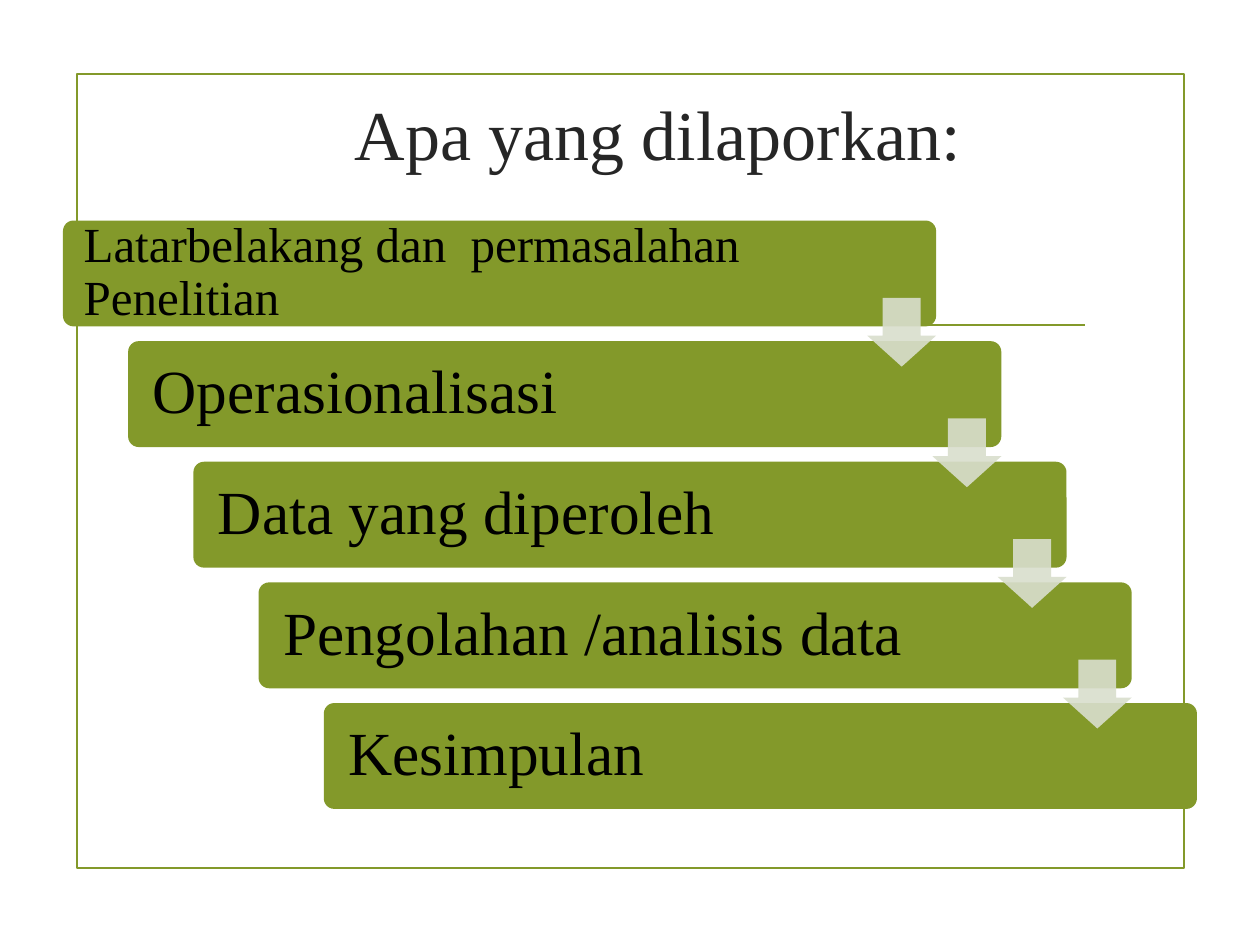
from pptx import Presentation
from pptx.dml.color import RGBColor
from pptx.enum.shapes import MSO_CONNECTOR as Conn, MSO_SHAPE as Shape
from pptx.enum.text import MSO_ANCHOR as Anchor, PP_ALIGN as Align
from pptx.oxml.ns import qn
from pptx.util import Inches, Pt
from lxml.etree import SubElement

GREEN = "83992A"
WIDE, HIGH = 10, 7.5
STEPS = [
    ("Latarbelakang dan  permasalahan Penelitian", 28, 0.14),
    ("Operasionalisasi", 35, 0.17),
    ("Data yang diperoleh", 35, 0.17),
    ("Pengolahan /analisis data", 35, 0.17),
    ("Kesimpulan", 35, 0.17),
]


def color(code):
    return RGBColor.from_string(code)


def inches(box):
    return [Inches(n) for n in box]


def write(shape, text, size=35, ink="000000", align=Align.LEFT, space=1.0, left=0.1, right=0.1):
    frame = shape.text_frame
    frame.word_wrap = True
    frame.vertical_anchor = Anchor.MIDDLE
    frame.margin_left, frame.margin_right = Inches(left), Inches(right)
    frame.margin_top = frame.margin_bottom = 0
    para = frame.paragraphs[0]
    para.alignment = align
    para.line_spacing = space
    run = para.add_run()
    run.text = text
    run.font.name = "Times New Roman"
    run.font.size = Pt(size)
    run.font.color.rgb = color(ink)


def draw(slide, kind, box, fill=None, line=None, adjust=(), alpha=None):
    shape = slide.shapes.add_shape(kind, *inches(box))
    shape.shadow.inherit = False
    for i, value in enumerate(adjust):
        shape.adjustments[i] = value
    if fill:
        shape.fill.solid()
        shape.fill.fore_color.rgb = color(fill)
    else:
        shape.fill.background()
    if line:
        shape.line.color.rgb = color(line)
        shape.line.width = Pt(1.25)
    else:
        shape.line.fill.background()
    if alpha:
        tint = shape._element.spPr.find(qn("a:solidFill"))[0]
        SubElement(tint, qn("a:alpha"), val=str(alpha * 1000))
    return shape


def frame(slide, box):
    x, y, w, h = box
    draw(slide, Shape.RECTANGLE, box, line=GREEN)
    level = y + h * 0.316
    ends = inches((x + w * 0.09, level, x + w * 0.91, level))
    rule = slide.shapes.add_connector(Conn.STRAIGHT, *ends)
    rule.line.color.rgb = color(GREEN)
    rule.line.width = Pt(1.25)
    SubElement(rule._element.spPr, qn("a:effectLst"))


def title(slide, box):
    shape = slide.shapes.add_textbox(*inches(box))
    write(shape, "Apa yang dilaporkan:", size=40, ink="262626", align=Align.CENTER)


def stairs(slide, box):
    x, y, w, h = box
    wide, high = w * 0.77, h * 0.18
    gaps = len(STEPS) - 1
    across, down = (w - wide) / gaps, (h - high) / gaps
    spots = [(x + i * across, y + i * down) for i in range(len(STEPS))]
    for (left, top), (text, size, inset) in zip(spots, STEPS):
        bar = draw(slide, Shape.ROUNDED_RECTANGLE, (left, top, wide, high), fill=GREEN, adjust=[0.1])
        write(bar, text, size=size, space=0.9, left=inset, right=1.1)
    side = high * 0.65
    for left, top in spots[:-1]:
        place = (left + wide - side, top + high * 0.73, side, side)
        draw(slide, Shape.DOWN_ARROW, place, fill="D9DECD", adjust=[0.55, 0.45], alpha=90)


def main():
    deck = Presentation()
    deck.slide_width, deck.slide_height = Inches(WIDE), Inches(HIGH)
    slide = deck.slides.add_slide(deck.slide_layouts[6])
    frame(slide, (0.61, 0.59, 8.79, 6.3))
    title(slide, (1.5, 0.34, 7.44, 1.43))
    stairs(slide, (0.5, 1.75, 9, 4.67))
    deck.save("out.pptx")


main()
